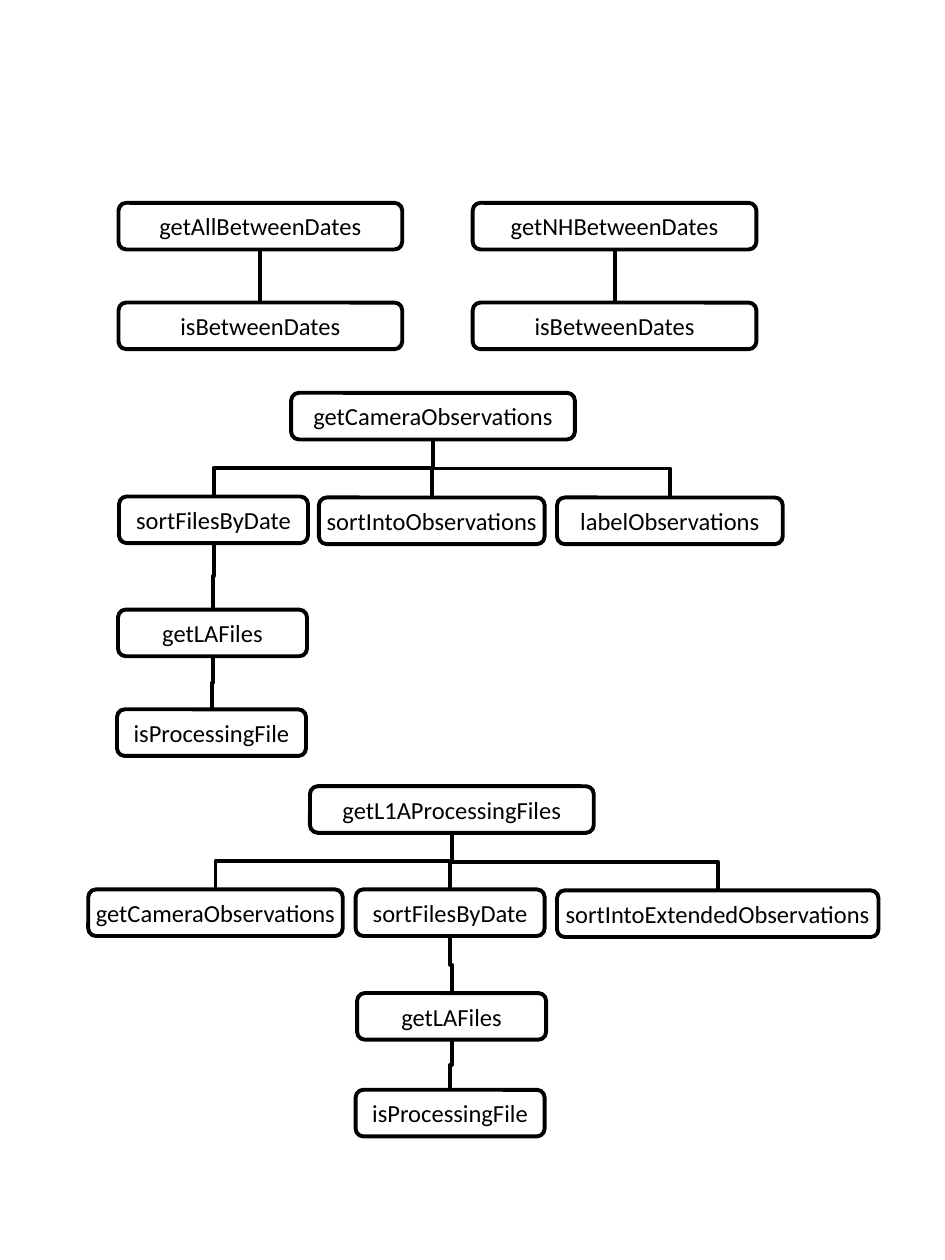
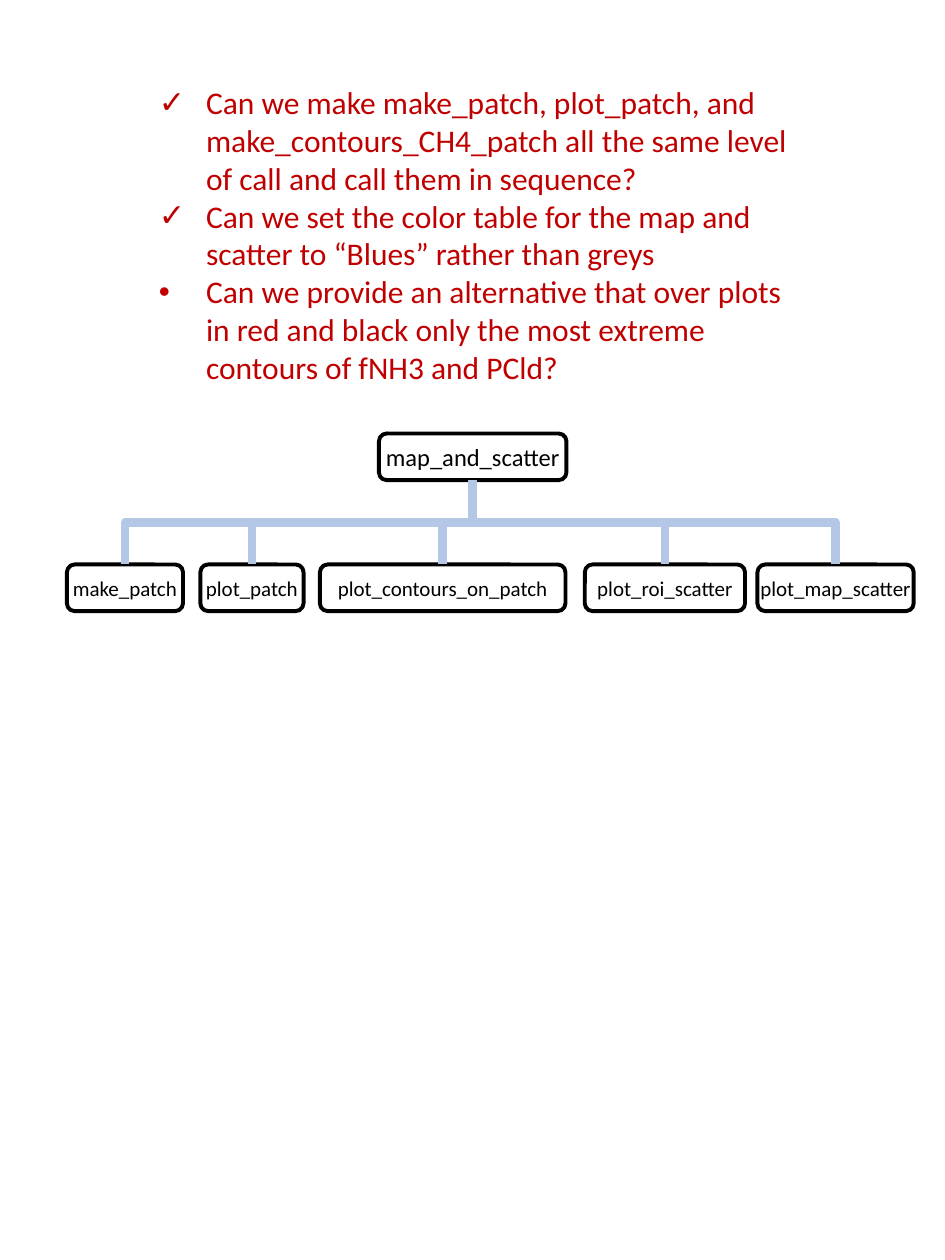
import pptx
import pptx.util
import pptx.dml.color
import pptx.enum.shapes
import pptx.enum.text
import pptx.oxml.ns
from lxml import etree

Cm = pptx.util.Cm
Pt = pptx.util.Pt
qn = pptx.oxml.ns.qn

BLACK, WHITE, RED, PALE_BLUE = "000000", "FFFFFF", "C00000", "B4C7E7"
FONT = "Calibri"
BOX_HEIGHT = 0.94

ROUTINE_TREES = [
    ("getAllBetweenDates", 2.39, 4.09, 5.72, [("isBetweenDates", 2.39, 6.1, 5.72, [])]),
    ("getNHBetweenDates", 9.53, 4.09, 5.72, [("isBetweenDates", 9.53, 6.1, 5.72, [])]),
    ("getCameraObservations", 5.87, 7.92, 5.72, [
        ("sortFilesByDate", 2.4, 10.01, 3.81, [
            ("getLAFiles", 2.38, 12.29, 3.81, [
                ("isProcessingFile", 2.36, 14.3, 3.81, [])])]),
        ("sortIntoObservations", 6.43, 10.03, 4.55, []),
        ("labelObservations", 11.23, 10.03, 4.55, [])]),
    ("getL1AProcessingFiles", 6.25, 15.85, 5.72, [
        ("getCameraObservations", 1.78, 17.93, 5.13, []),
        ("sortFilesByDate", 7.17, 17.93, 3.81, [
            ("getLAFiles", 7.2, 20.02, 3.81, [
                ("isProcessingFile", 7.17, 21.97, 3.81, [])])]),
        ("sortIntoExtendedObservations", 11.23, 17.95, 6.48, [])]),
]

PLOT_STEPS = [
    ("make_patch", 1.35, 2.34),
    ("plot_patch", 4.04, 2.08),
    ("plot_contours_on_patch", 6.45, 4.95),
    ("plot_roi_scatter", 11.79, 3.23),
    ("plot_map_scatter", 15.27, 3.15),
]
PLOT_TREE = ("map_and_scatter", 7.64, 8.74, 3.78,
             [(step, left, 11.38, width, []) for step, left, width in PLOT_STEPS])

QUESTIONS = [
    ("✓", "Can we make make_patch, plot_patch, and make_contours_CH4_patch "
          "all the same level of call and call them in sequence?"),
    ("✓", "Can we set the color table for the map and scatter to “Blues” rather than greys"),
    ("•", "Can we provide an alternative that over plots in red and black "
          "only the most extreme contours of fNH3 and PCld?"),
]


def rgb(value):
    return pptx.dml.color.RGBColor.from_string(value)


def write(paragraph, text, size=14, color=BLACK, align="LEFT", bullet=None):
    run = paragraph.add_run()
    run.text = text
    run.font.name, run.font.size = FONT, Pt(size)
    run.font.color.rgb = rgb(color)
    paragraph.alignment = getattr(pptx.enum.text.PP_ALIGN, align)
    paragraph.line_spacing = 1.0
    paragraph.space_before = paragraph.space_after = Pt(0)
    if bullet:
        properties = paragraph._p.get_or_add_pPr()
        properties.set("marL", str(Cm(0.95)))
        properties.set("indent", str(-Cm(0.95)))
        etree.SubElement(properties, qn("a:buFont")).set("typeface", "Arial")
        etree.SubElement(properties, qn("a:buChar")).set("char", bullet)


def add_box(slide, text, left, top, width, size):
    box = slide.shapes.add_shape(pptx.enum.shapes.MSO_SHAPE.ROUNDED_RECTANGLE,
                                 Cm(left), Cm(top), Cm(width), Cm(BOX_HEIGHT))
    box.shadow.inherit = False
    box.fill.solid()
    box.fill.fore_color.rgb = rgb(WHITE)
    box.line.color.rgb = rgb(BLACK)
    box.line.width = Pt(2.25)
    frame = box.text_frame
    frame.margin_left = frame.margin_right = frame.margin_top = frame.margin_bottom = 0
    frame.vertical_anchor = pptx.enum.text.MSO_ANCHOR.MIDDLE
    frame.word_wrap = False
    write(frame.paragraphs[0], text, size=size, align="CENTER")
    return box


def join(slide, caller, callee, color, weight):
    x1, y1 = caller.left + caller.width // 2, caller.top + caller.height
    x2, y2 = callee.left + callee.width // 2, callee.top
    kinds = pptx.enum.shapes.MSO_CONNECTOR
    kind = kinds.STRAIGHT if x1 == x2 else kinds.ELBOW
    link = slide.shapes.add_connector(kind, x1, y1, x2, y2)
    link.begin_connect(caller, 2)
    link.end_connect(callee, 0)
    link.line.color.rgb = rgb(color)
    link.line.width = Pt(weight)
    properties = link.element.spPr
    etree.SubElement(properties, qn("a:effectLst"))
    if x1 != x2:
        drop, shift = y2 - y1, abs(x2 - x1)
        link.left, link.top = (x1 + x2 - drop) // 2, (y1 + y2 - shift) // 2
        link.width, link.height = drop, shift
        transform = properties.find(qn("a:xfrm"))
        transform.set("rot", "16200000" if x2 > x1 else "5400000")
        transform.set("flipH", "1" if x2 > x1 else "0")


def add_tree(slide, tree, color=BLACK, weight=2.25, size=14, child_size=14):
    text, left, top, width, callees = tree
    caller = add_box(slide, text, left, top, width, size)
    for callee in callees:
        child = add_tree(slide, callee, color, weight, child_size, child_size)
        join(slide, caller, child, color, weight)
    return caller


def add_questions(slide):
    questions = slide.placeholders[1]
    questions.left, questions.top = Cm(2.95), Cm(1.55)
    questions.width, questions.height = Cm(13.18), Cm(6.4)
    frame = questions.text_frame
    frame.auto_size = pptx.enum.text.MSO_AUTO_SIZE.NONE
    frame.word_wrap = True
    for number, (mark, question) in enumerate(QUESTIONS):
        paragraph = frame.add_paragraph() if number else frame.paragraphs[0]
        write(paragraph, question, size=18, color=RED, bullet=mark)


def main():
    deck = pptx.Presentation()
    deck.slide_width, deck.slide_height = Cm(19.05), Cm(25.4)

    routines = deck.slides.add_slide(deck.slide_layouts[6])
    for tree in ROUTINE_TREES:
        add_tree(routines, tree)

    plotting = deck.slides.add_slide(deck.slide_layouts[1])
    title = plotting.shapes.title.element
    title.getparent().remove(title)
    add_questions(plotting)
    add_tree(plotting, PLOT_TREE, color=PALE_BLUE, weight=5, child_size=12)

    deck.save("out.pptx")


if __name__ == "__main__":
    main()
